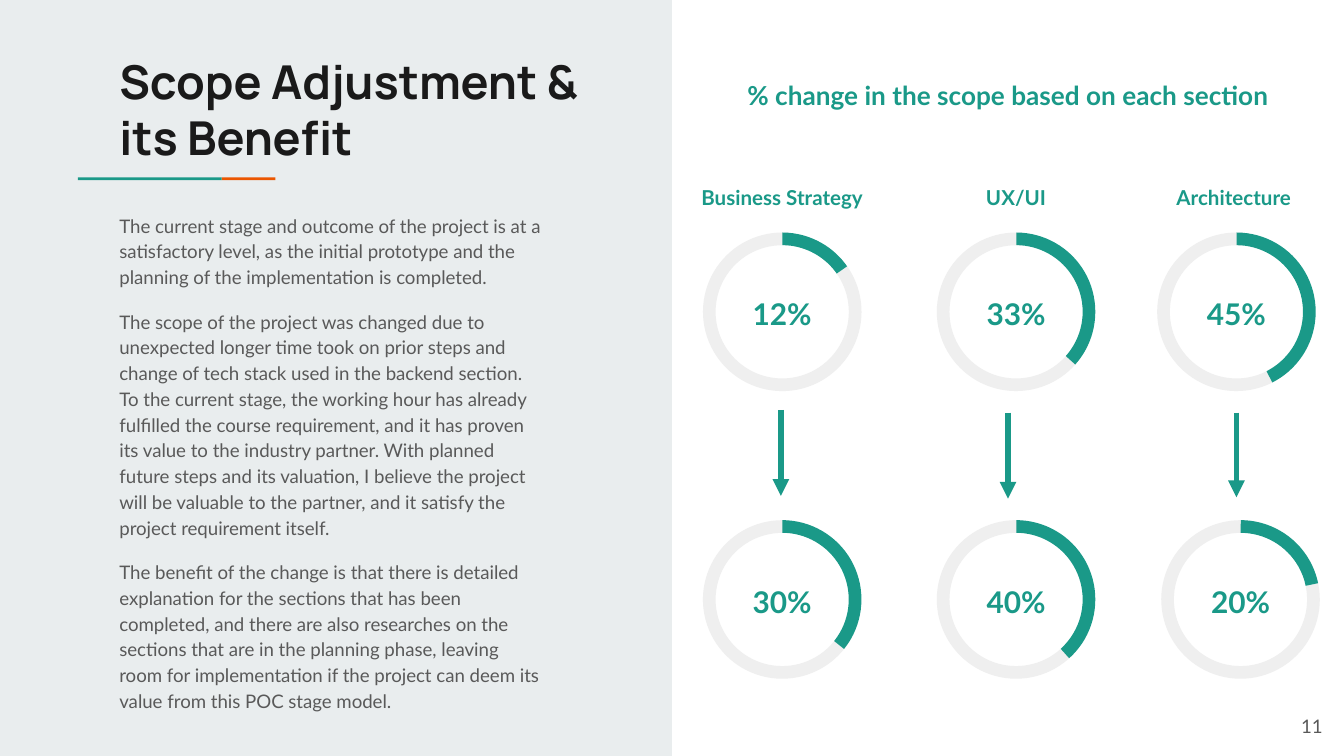
from lxml.etree import SubElement
from pptx import Presentation
from pptx.dml.color import RGBColor
from pptx.enum.shapes import MSO_CONNECTOR, MSO_SHAPE
from pptx.enum.text import MSO_ANCHOR, PP_ALIGN
from pptx.oxml.ns import qn
from pptx.util import Inches, Pt

TEAL = RGBColor(0x1A, 0x99, 0x88)
ORANGE = RGBColor(0xEB, 0x56, 0x00)
PANEL = RGBColor(0xE9, 0xED, 0xEE)
RING = RGBColor(0xEF, 0xEF, 0xEF)
INK = RGBColor(0x1A, 0x1A, 0x1A)
GREY = RGBColor(0x59, 0x59, 0x59)

SLIDE_WIDTH = 10
SLIDE_HEIGHT = SLIDE_WIDTH * 9 / 16
RING_SIZE = 1.18
RING_TURN = 176.5
RING_TOPS = (1.73, 3.87)

presentation = Presentation()
presentation.slide_width = Inches(SLIDE_WIDTH)
presentation.slide_height = Inches(SLIDE_HEIGHT)
slide = presentation.slides.add_slide(presentation.slide_layouts[6])


def add_text(left, top, width, height, *texts, size=10, color=TEAL, bold=False, font="Lato",
             align=PP_ALIGN.LEFT, anchor=MSO_ANCHOR.TOP, line_spacing=None, gap=0):
    frame = slide.shapes.add_textbox(
        Inches(left), Inches(top), Inches(width), Inches(height)).text_frame
    frame.word_wrap = True
    frame.vertical_anchor = anchor
    frame.margin_left = frame.margin_right = Inches(0.1)
    frame.margin_top = frame.margin_bottom = Inches(0.1)
    for index, text in enumerate(texts):
        paragraph = frame.add_paragraph() if index else frame.paragraphs[0]
        paragraph.alignment = align
        paragraph.line_spacing = line_spacing
        paragraph.space_before = Pt(gap if index else 0)
        run = paragraph.add_run()
        run.text = text
        run.font.name = font
        run.font.size = Pt(size)
        run.font.bold = bold
        run.font.color.rgb = color


def add_shape(kind, left, top, width, height, color):
    shape = slide.shapes.add_shape(
        kind, Inches(left), Inches(top), Inches(width), Inches(height))
    shape.shadow.inherit = False
    shape.fill.solid()
    shape.fill.fore_color.rgb = color
    shape.line.fill.background()
    return shape


add_shape(MSO_SHAPE.RECTANGLE, 0, 0, SLIDE_WIDTH / 2, SLIDE_HEIGHT, PANEL)
add_shape(MSO_SHAPE.RECTANGLE, 1.65, 1.32, 0.4, 0.02, ORANGE)
add_shape(MSO_SHAPE.RECTANGLE, 0.58, 1.32, 1.07, 0.02, TEAL)

add_text(0.79, 0.29, 3.61, 1.85, "Scope Adjustment & its Benefit",
         size=25, color=INK, bold=True, font="Manrope")
add_text(
    0.79, 1.47, 3.36, 3.88,
    "The current stage and outcome of the project is at a satisfactory level, as the initial "
    "prototype and the planning of the implementation is completed.",
    "The scope of the project was changed due to unexpected longer time took on prior steps and "
    "change of tech stack used in the backend section. To the current stage, the working hour "
    "has already fulfilled the course requirement, and it has proven its value to the industry "
    "partner. With planned future steps and its valuation, I believe the project will be "
    "valuable to the partner, and it satisfy the project requirement itself.",
    "The benefit of the change is that there is detailed explanation for the sections that has "
    "been completed, and there are also researches on the sections that are in the planning "
    "phase, leaving room for implementation if the project can deem its value from this POC "
    "stage model.",
    color=GREY, line_spacing=1.15, gap=10)

add_text(5.24, 0.46, 4.52, 0.36, "% change in the scope based on each section",
         size=14, bold=True, align=PP_ALIGN.CENTER, line_spacing=1.15)

sections = [
    ("Business Strategy", 5.82, 5.81, 3.05, 3.69, [("12%", 5.82, 325), ("30%", 5.82, 38.7)]),
    ("UX/UI", 7.56, 7.5, 3.07, 3.71, [("33%", 7.56, 41.7), ("40%", 7.56, 47.9)]),
    ("Architecture", 9.18, 9.2, 3.07, 3.7, [("45%", 9.2, 63.1), ("20%", 9.23, 348.2)]),
]
for name, center, arrow_x, arrow_top, arrow_bottom, rings in sections:
    add_text(center - 0.82, 1.25, 1.64, 0.3, name,
             size=11, bold=True, align=PP_ALIGN.CENTER, line_spacing=1.15)

    for top, (value, ring_center, end_angle) in zip(RING_TOPS, rings):
        arcs = [(RING, RING_TURN, (end_angle - RING_TURN) % 360, 98),
                (TEAL, 0, 270.2, end_angle)]
        for color, rotation, start, end in arcs:
            arc = add_shape(MSO_SHAPE.BLOCK_ARC, ring_center - RING_SIZE / 2, top,
                            RING_SIZE, RING_SIZE, color)
            arc.rotation = rotation
            arc.adjustments[0] = start * 0.6
            arc.adjustments[1] = end * 0.6
            arc.adjustments[2] = 0.08
        add_text(ring_center - 0.39, top + 0.33, 0.78, 0.36, value,
                 size=16, bold=True, align=PP_ALIGN.CENTER, line_spacing=1.15)

    arrow = slide.shapes.add_connector(
        MSO_CONNECTOR.STRAIGHT, Inches(arrow_x), Inches(arrow_top),
        Inches(arrow_x), Inches(arrow_bottom))
    arrow.line.color.rgb = TEAL
    arrow.line.width = Pt(3)
    SubElement(arrow.line._get_or_add_ln(), qn("a:tailEnd"), type="triangle")
    SubElement(arrow._element.spPr, qn("a:effectLst"))

add_text(9.34, 5.19, 0.6, 0.43, "11", color=GREY,
         align=PP_ALIGN.RIGHT, anchor=MSO_ANCHOR.MIDDLE)

presentation.save("out.pptx")
